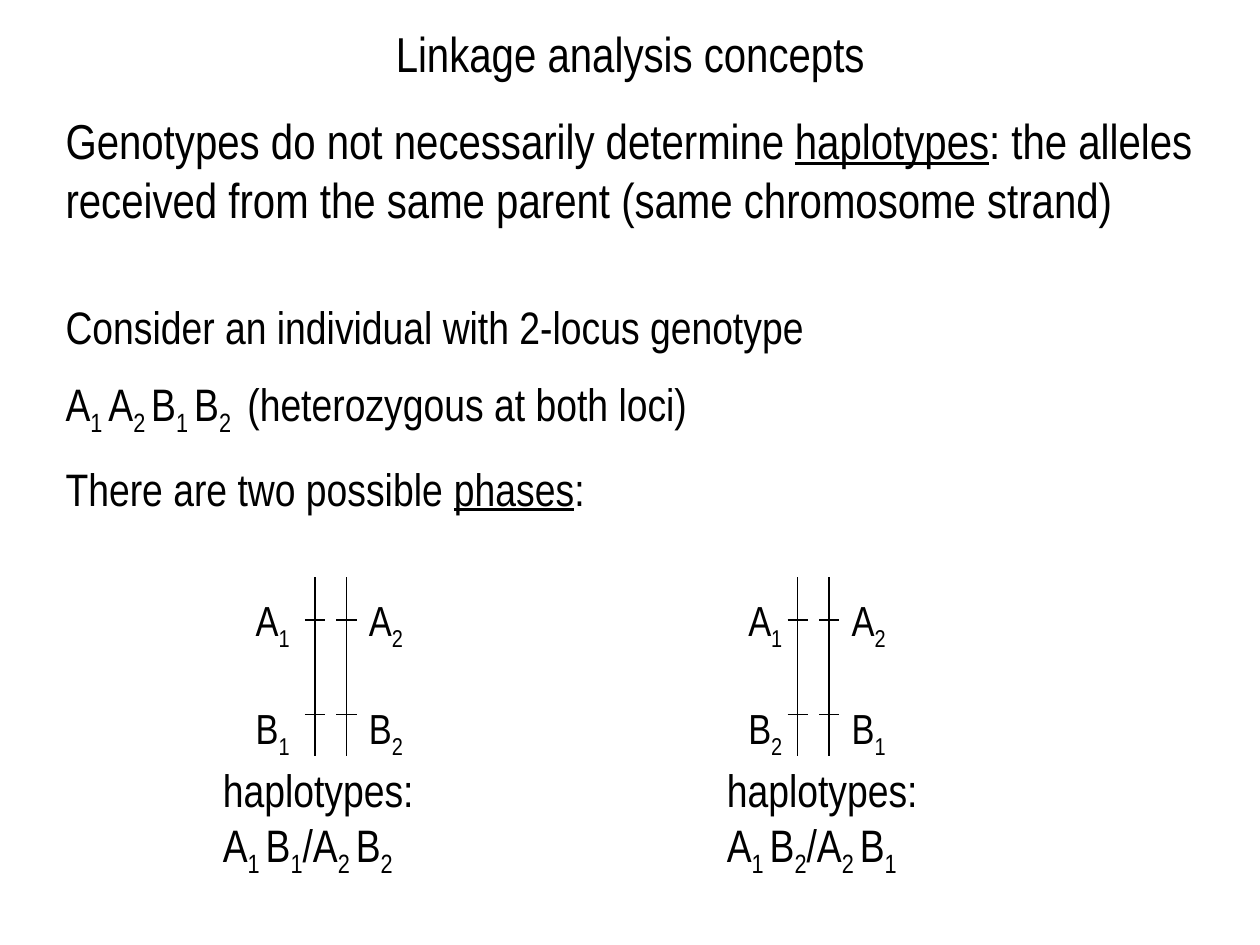
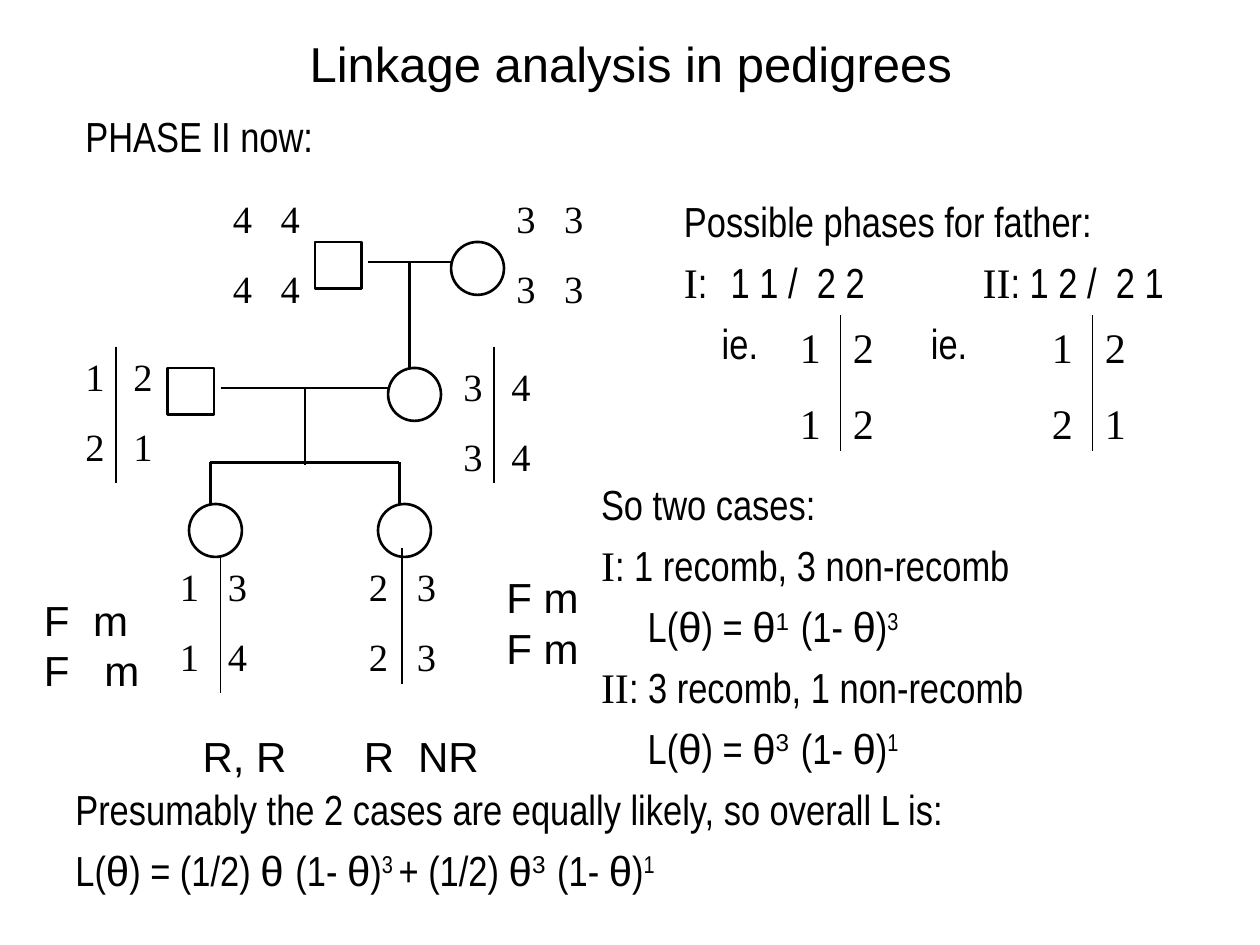
"""Build two slides on linkage analysis: haplotype phases and a pedigree."""
from lxml.etree import SubElement
from pptx import Presentation
from pptx.dml.color import RGBColor
from pptx.enum.shapes import MSO_CONNECTOR, MSO_SHAPE
from pptx.enum.text import MSO_ANCHOR, MSO_AUTO_SIZE, PP_ALIGN
from pptx.oxml.ns import qn
from pptx.util import Inches, Pt

BLACK = RGBColor(0, 0, 0)
SANS, NARROW, SERIF = "Arial", "Arial Narrow", "Times New Roman"
FACES = {"@": SANS, "|": SERIF}
SHIFTS = {"~": "-25000", "^": "30000"}
MARKS = "@|~^*"
THIN, BOLD = 0.75, 1.5


def add_runs(para, text):
    """Add runs; pairs of marks set face (@ |), sub (~), super (^), underline (*)."""
    active, piece = set(), ""
    for char in text + MARKS[0]:
        if char not in MARKS:
            piece += char
            continue
        if piece:
            run = para.add_run()
            run.text = piece
            for mark in active:
                if mark in FACES:
                    run.font.name = FACES[mark]
                elif mark in SHIFTS:
                    run.font._element.set("baseline", SHIFTS[mark])
                else:
                    run.font.underline = True
            piece = ""
        active ^= {char}


def write(frame, lines, size, font=NARROW, before=0, after=0, tabs=(), hang=None):
    """Append lines to a frame; a line is a string or (string, its tab stops)."""
    for line in lines:
        text, stops = (line, tabs) if isinstance(line, str) else line
        para = frame.paragraphs[0]
        if para.runs:
            para = frame.add_paragraph()
        para.space_before, para.space_after = Pt(before), Pt(after)
        props = para._p.get_or_add_pPr()
        if hang is not None:
            props.set("marL", str(Inches(hang)))
            props.set("indent", str(Inches(-hang)))
            SubElement(props, qn("a:buNone"))
        if stops:
            tab_list = SubElement(props, qn("a:tabLst"))
            for stop in stops:
                SubElement(tab_list, qn("a:tab"), pos=str(Inches(stop)), algn="l")
        para.font.size, para.font.name = Pt(size), font
        para.font.color.rgb = BLACK
        add_runs(para, text)


def place(holder, left, top, width, height):
    """Move a placeholder and return its text frame."""
    holder.left, holder.top = Inches(left), Inches(top)
    holder.width, holder.height = Inches(width), Inches(height)
    frame = holder.text_frame
    frame.auto_size = MSO_AUTO_SIZE.NONE
    frame.word_wrap = True
    return frame


def add_title(slide, text, box, font):
    """Fill the title placeholder."""
    frame = place(slide.shapes.title, *box)
    frame.vertical_anchor = MSO_ANCHOR.MIDDLE
    write(frame, [text], 28, font)
    frame.paragraphs[0].alignment = PP_ALIGN.CENTER


def add_text(slide, box, lines, size=24, **style):
    """Add a wrapped text box."""
    frame = slide.shapes.add_textbox(*map(Inches, box)).text_frame
    frame.word_wrap = True
    write(frame, lines, size, **style)


def add_line(slide, x1, y1, x2, y2, weight=THIN):
    """Add a straight black line without shadow."""
    line = slide.shapes.add_connector(
        MSO_CONNECTOR.STRAIGHT, *map(Inches, (x1, y1, x2, y2)))
    line.line.color.rgb = BLACK
    line.line.width = Pt(weight)
    SubElement(line._element.spPr, qn("a:effectLst"))


def add_person(slide, kind, left, top):
    """Add a pedigree symbol: a square for a male, a circle for a female."""
    side = Inches(0.37 if kind == MSO_SHAPE.RECTANGLE else 0.42)
    person = slide.shapes.add_shape(kind, Inches(left), Inches(top), side, side)
    person.shadow.inherit = False
    person.fill.background()
    person.line.color.rgb = BLACK
    person.line.width = Pt(BOLD)


def add_pairs(slide, left, top, rows, size=22):
    """Add two rows of allele pairs."""
    lines = ["\t".join(row) for row in rows]
    add_text(slide, (left, top, 0.83, 1.03), lines, size, font=SERIF,
             before=size * 0.625, tabs=(round(size / 57.6, 2),))


def add_phase(slide, x, label, lower):
    """Draw a pair of strands with two marked loci."""
    for strand in (x, x + 0.25):
        add_line(slide, strand, 4.58, strand, 6)
        for locus in (4.92, 5.67):
            add_line(slide, strand - 0.08, locus, strand + 0.08, locus)
    for left, upper, other in ((label, 1, lower[0]), (x + 0.33, 2, lower[1])):
        box = (left, 4.67, 0.58, 1.41)
        add_text(slide, box, [f"A~{upper}~"])
        write(slide.shapes[-1].text_frame, [f"B~{other}~"], 24, before=29)


def build_concepts(slide):
    """Build the slide on haplotypes and phases."""
    add_title(slide, "Linkage analysis concepts", (0.75, 0.17, 8.5, 0.5), NARROW)
    body = place(slide.placeholders[1], 0.42, 0.83, 9.33, 2.83)
    write(body, ["Genotypes do not necessarily determine *haplotypes*: the alleles "
                 "received from the same parent (same chromosome strand)"], 28, hang=0)
    write(body, ["Consider an individual with 2-locus genotype"], 26,
          before=40, after=6.5, hang=0)
    write(body, ["A~1 ~A~2 ~B~1 ~B~2 ~ (heterozygous at both loci)",
                 "There are two possible *phases*:"], 26, before=6.5, after=6.5, hang=0)
    add_text(slide, (0.67, 6, 8.42, 1.1),
             ["\thaplotypes:\thaplotypes:",
              "\tA~1 ~B~1~/A~2 ~B~2~\tA~1 ~B~2~/A~2 ~B~1~"], 26, tabs=(1, 5))
    add_phase(slide, 2.5, 1.93, (1, 2))
    add_phase(slide, 6.33, 5.84, (2, 1))


def draw_tree(slide):
    """Draw the three generations with their alleles."""
    for left, top in ((2.5, 1.92), (1.33, 2.92)):
        add_person(slide, MSO_SHAPE.RECTANGLE, left, top)
    for left, top in ((3.58, 1.92), (3.08, 2.92), (1.5, 4), (3, 4)):
        add_person(slide, MSO_SHAPE.OVAL, left, top)
    for ends in ((2.92, 2.08, 3.58, 2.08), (3.25, 2.08, 3.25, 2.92),
                 (1.75, 3.08, 3.08, 3.08), (2.42, 3.08, 2.42, 3.69),
                 (1.67, 3.67, 3.17, 3.67), (1.67, 3.67, 1.67, 4),
                 (3.17, 3.67, 3.17, 4)):
        add_line(slide, *ends, BOLD)
    for left, top, rows in ((1.75, 1.5, ("44", "44")), (4, 1.5, ("33", "33")),
                            (0.58, 2.75, ("12", "21")), (3.58, 2.83, ("34", "34")),
                            (1.33, 4.42, ("13", "14")), (2.83, 4.42, ("23", "23"))):
        add_pairs(slide, left, top, rows)
    for x, top in ((0.92, 2.75), (3.92, 2.75), (1.75, 4.42), (3.19, 4.35)):
        add_line(slide, x, top, x, top + 1.08)


def build_pedigree(slide):
    """Build the slide on the pedigree and its likelihood."""
    add_title(slide, "Linkage analysis in pedigrees", (0.42, 0.25, 9.17, 0.5), SANS)
    add_text(slide, (0.58, 0.83, 8.83, 0.5), ["PHASE II now:"], before=6)
    draw_tree(slide)
    add_text(slide, (0.25, 4.67, 1.1, 0.9),
             [("F\tm", (0.39,)), ("F\tm", (0.48,))], font=SANS)
    add_text(slide, (3.92, 4.49, 0.9, 0.9), ["F m"] * 2, font=SANS)
    add_text(slide, (1.51, 5.75, 2.5, 0.5), ["R, R\tR\tNR"], font=SANS,
             tabs=(1.28, 1.71))
    add_text(slide, (5.33, 1.5, 4.33, 1.5),
             ["Possible phases for father:",
              ("|I|:\t1 1 /  2 2\t|II|: 1 2 /  2 1", (0.37, 2.37)),
              ("\tie.\tie.", (0.3, 1.96))], before=6)
    for left, rows in ((6.25, ("12", "12")), (8.25, ("12", "21"))):
        add_pairs(slide, left, 2.5, rows, 24)
        add_line(slide, left + 0.42, 2.5, left + 0.42, 3.58)
    cases = place(slide.placeholders[1], 4.67, 3.75, 4.92, 2.5)
    write(cases, ["So two cases:",
                  "|I|: 1 recomb, 3 non-recomb",
                  "\tL(@θ@) = @θ^1^ @(1- @θ@)^3^",
                  "|II|: 3 recomb, 1 non-recomb",
                  "\tL(@θ@) = @θ^3^ @(1- @θ@)^1^"], 24, before=6, hang=0.37)
    add_text(slide, (0.5, 6.17, 8.67, 1),
             ["Presumably the 2 cases are equally likely, so overall L is:",
              "L(@θ@) = (1/2) @θ @(1- @θ@)^3 ^+ (1/2) @θ^3^ @(1- @θ@)^1^"], before=6)


def main():
    """Build and save both slides."""
    deck = Presentation()
    deck.slide_width, deck.slide_height = Inches(10), Inches(7.5)
    for build in (build_concepts, build_pedigree):
        build(deck.slides.add_slide(deck.slide_layouts[1]))
    deck.save("out.pptx")


if __name__ == "__main__":
    main()
